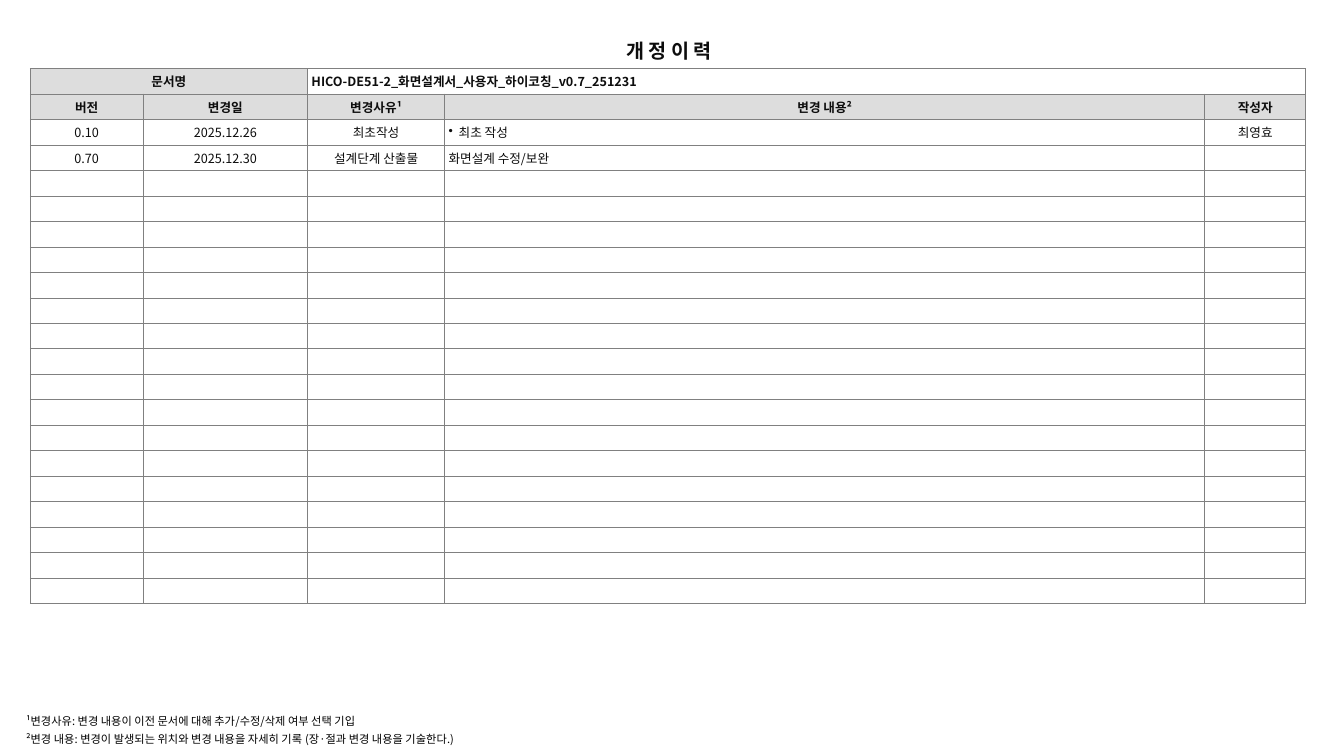
"""Build the revision history slide."""
from lxml.etree import SubElement
from pptx import Presentation
from pptx.dml.color import RGBColor
from pptx.enum.text import MSO_ANCHOR as Anchor, PP_ALIGN as Align
from pptx.oxml.ns import qn
from pptx.util import Inches, Pt

FONT = "Noto Sans CJK KR"
INK = "0D0D0D"
ROW_COUNT = 21


def rgb(value):
    return RGBColor.from_string(value)


def style(paragraph, size, color=INK, bold=False, align=Align.LEFT):
    paragraph.alignment = align
    font = paragraph.font
    font.size, font.bold, font.name = Pt(size), bold, FONT
    font.color.rgb = rgb(color)
    SubElement(font._element, qn("a:ea"), typeface=FONT)


presentation = Presentation()
presentation.slide_width, presentation.slide_height = Inches(13.33), Inches(7.5)
slide = presentation.slides.add_slide(presentation.slide_layouts[6])

title = slide.shapes.add_textbox(Inches(3.51), Inches(0.34), Inches(6.25), Inches(0.34))
title.text_frame.word_wrap = True
title.text_frame.text = "개 정 이 력"
style(title.text_frame.paragraphs[0], 14, bold=True, align=Align.CENTER)

rows = [
    ["문서명", "", "HICO-DE51-2_화면설계서_사용자_하이코칭_v0.7_251231", "", ""],
    ["버전", "변경일", "변경사유¹", "변경 내용²", "작성자"],
    ["0.10", "2025.12.26", "최초작성", "최초 작성", "최영효"],
    ["0.70", "2025.12.30", "설계단계 산출물", "화면설계 수정/보완", ""],
]
rows += [[""] * 5 for _ in range(ROW_COUNT - len(rows))]
left_aligned = {(0, 2), (2, 3), (3, 3)}
shaded = {(0, 0), (0, 1)} | {(1, column) for column in range(5)}

table = slide.shapes.add_table(
    ROW_COUNT, 5, Inches(0.3), Inches(0.68), Inches(12.64), Inches(5.31)).table
table.first_row = table.horz_banding = False
for column, width in zip(table.columns, [1.12, 1.63, 1.36, 7.54, 1]):
    column.width = Inches(width)

for row_index, row in enumerate(rows):
    for column_index, text in enumerate(row):
        position = row_index, column_index
        cell = table.cell(*position)
        cell.vertical_anchor = Anchor.MIDDLE
        cell.margin_left = cell.margin_right = Inches(0.04)
        cell.margin_top = cell.margin_bottom = Inches(0.03)
        cell.text = text
        paragraph = cell.text_frame.paragraphs[0]
        if position == (2, 3):
            properties = paragraph._p.get_or_add_pPr()
            properties.set("marL", str(Inches(0.1)))
            properties.set("indent", str(-Inches(0.1)))
            SubElement(properties, qn("a:buChar"), char="•")
        align = Align.LEFT if position in left_aligned else Align.CENTER
        style(paragraph, 9, bold=row_index < 2, align=align)
        if not text:
            SubElement(paragraph._p, qn("a:endParaRPr"), sz="900")
        cell_properties = cell._tc.get_or_add_tcPr()
        for side in ("a:lnL", "a:lnR", "a:lnT", "a:lnB"):
            border = SubElement(cell_properties, qn(side), w=str(Pt(0.5)))
            fill = SubElement(border, qn("a:solidFill"))
            SubElement(fill, qn("a:srgbClr"), val="808080")
        if position in shaded:
            cell.fill.solid()
            cell.fill.fore_color.rgb = rgb("DDDDDD")
        else:
            cell.fill.background()

table.cell(0, 0).merge(table.cell(0, 1))
table.cell(0, 2).merge(table.cell(0, 4))

notes = slide.shapes.add_textbox(Inches(0.16), Inches(7.04), Inches(4.91), Inches(0.41))
frame = notes.text_frame
frame.word_wrap = False
frame.text = (
    "¹변경사유: 변경 내용이 이전 문서에 대해 추가/수정/삭제 여부 선택 기입\n"
    "²변경 내용: 변경이 발생되는 위치와 변경 내용을 자세히 기록 (장·절과 변경 내용을 기술한다.)")
for paragraph in frame.paragraphs:
    style(paragraph, 8, "000000")
frame.paragraphs[1].space_before = Pt(3)

presentation.save("out.pptx")
